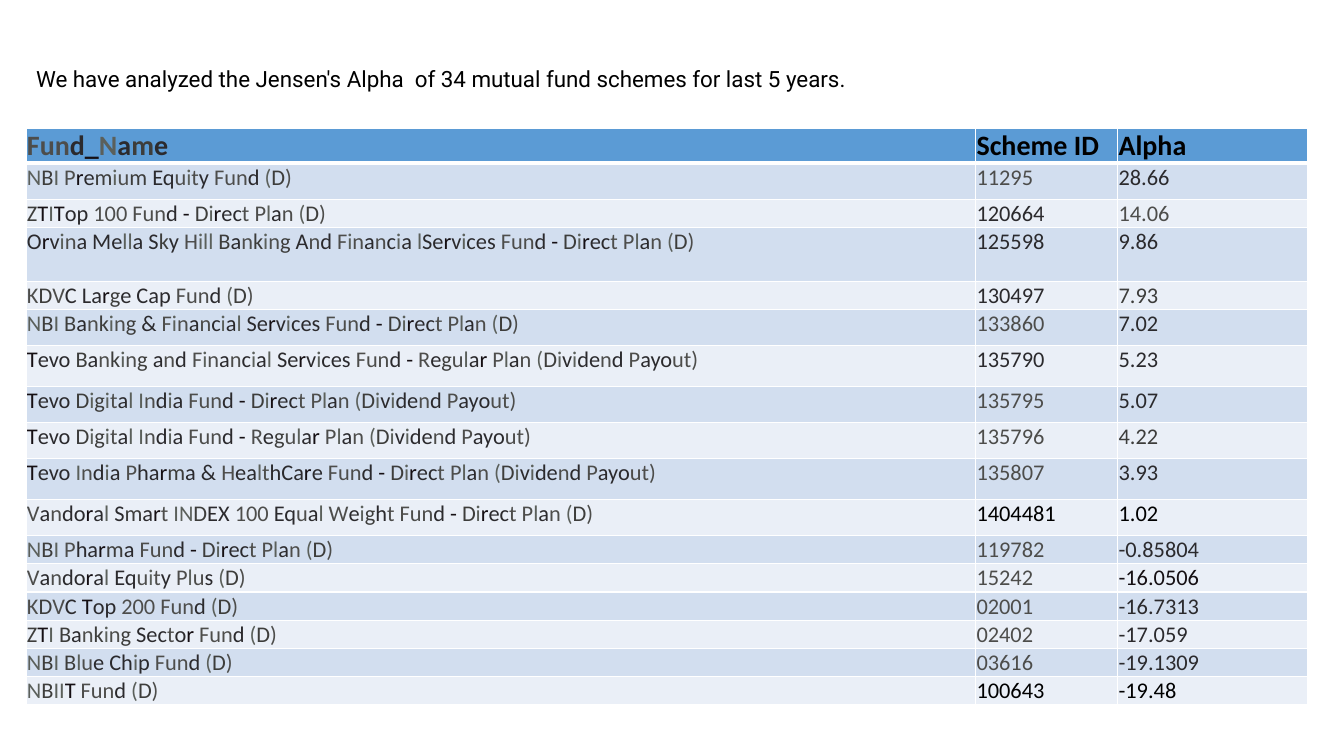
from itertools import groupby

from lxml import etree
from pptx import Presentation
from pptx import util as u
from pptx.dml.color import RGBColor
from pptx.enum import text
from pptx.oxml import ns

COLOURS = {
    "header": "5B9BD5", "odd row": "D2DEEF", "even row": "EAEFF7", "border": "FFFFFF",
    "black": "000000", "ink": "150F13", "dark": "2B2A2D",
    "slate": "3D3D3B", "grey": "4D4D4B", "pale": "5B605B",
}

# Fund names are shaded letter by letter; every other letter is dark.
LETTERS_BY_SHADE = {
    "ink": "Tr-_",
    "slate": "BDZkmg",
    "grey": "FHKPRVWtun)0123456789",
    "pale": "INil(",
}
LETTER_SHADES = {letter: shade for shade, letters in LETTERS_BY_SHADE.items()
                 for letter in letters}

COLUMN_WIDTHS = (23.93, 3.58, 4.78)
LOW, MEDIUM, HIGH = 0.69, 0.91, 1.03  # row heights in cm

HEADER = (("Fund_Name", None), ("Scheme ID", "black"), ("Alpha", "black"))
FUNDS = [  # row height, fund name, scheme ID and its shade, alpha and its shade
    (MEDIUM, "NBI Premium Equity Fund (D)", "11295", "grey", "28.66", "dark"),
    (LOW, "ZTITop 100 Fund - Direct Plan (D)", "120664", "dark", "14.06", "grey"),
    (1.35, "Orvina Mella Sky Hill Banking And Financia lServices Fund - Direct Plan (D)",
     "125598", "dark", "9.86", "dark"),
    (LOW, "KDVC Large Cap Fund (D)", "130497", "dark", "7.93", "slate"),
    (MEDIUM, "NBI Banking & Financial Services Fund - Direct Plan (D)",
     "133860", "grey", "7.02", "dark"),
    (HIGH, "Tevo Banking and Financial Services Fund - Regular Plan (Dividend Payout)",
     "135790", "dark", "5.23", "dark"),
    (MEDIUM, "Tevo Digital India Fund - Direct Plan (Dividend Payout)",
     "135795", "grey", "5.07", "dark"),
    (MEDIUM, "Tevo Digital India Fund - Regular Plan (Dividend Payout)",
     "135796", "grey", "4.22", "slate"),
    (HIGH, "Tevo India Pharma & HealthCare Fund - Direct Plan (Dividend Payout)",
     "135807", "grey", "3.93", "dark"),
    (MEDIUM, "Vandoral Smart INDEX 100 Equal Weight Fund - Direct Plan (D)",
     "1404481", "black", "1.02", "black"),
    (LOW, "NBI Pharma Fund - Direct Plan (D)", "119782", "grey", "-0.85804", "dark"),
    (LOW, "Vandoral Equity Plus (D)", "15242", "grey", "-16.0506", "ink"),
    (LOW, "KDVC Top 200 Fund (D)", "02001", "grey", "-16.7313", "dark"),
    (LOW, "ZTI Banking Sector Fund (D)", "02402", "grey", "-17.059", "dark"),
    (LOW, "NBI Blue Chip Fund (D)", "03616", "grey", "-19.1309", "dark"),
    (LOW, "NBIIT Fund (D)", "100643", "black", "-19.48", "black"),
]


def write_text(para, words, shade, size, bold):
    """Write words in one shade, or letter by letter by the rule if shade is None."""
    spans = [(shade, words)]
    if shade is None:
        groups = groupby(words, lambda letter: LETTER_SHADES.get(letter, "dark"))
        spans = [(name, "".join(letters)) for name, letters in groups]
    for name, words_in_span in spans:
        span = para.add_run()
        span.text = words_in_span
        span.font.name = "Calibri"
        span.font.size = u.Pt(size)
        span.font.bold = bold
        span.font.color.rgb = RGBColor.from_string(COLOURS[name])


def style_cell(cell, fill, bottom_width):
    """Set margins, white borders and fill."""
    cell.margin_left = cell.margin_right = cell.margin_top = u.Cm(0.02)
    cell.margin_bottom = u.Cm(0)
    properties = cell._tc.get_or_add_tcPr()
    for side, width in (("L", 1), ("R", 1), ("T", 1), ("B", bottom_width)):
        line = etree.SubElement(properties, ns.qn("a:ln" + side), w=str(u.Pt(width)))
        solid = etree.SubElement(line, ns.qn("a:solidFill"))
        etree.SubElement(solid, ns.qn("a:srgbClr"), val=COLOURS["border"])
    cell.fill.solid()
    cell.fill.fore_color.rgb = RGBColor.from_string(COLOURS[fill])


deck = Presentation()
deck.slide_width, deck.slide_height = u.Cm(33.87), u.Cm(19.05)
page = deck.slides.add_slide(deck.slide_layouts[6])

# Fund table
table = page.shapes.add_table(
    len(FUNDS) + 1, len(HEADER),
    u.Cm(0.66), u.Cm(3.23), u.Cm(sum(COLUMN_WIDTHS)), u.Cm(14.43)).table
for column, width in zip(table.columns, COLUMN_WIDTHS):
    column.width = u.Cm(width)

# Header row
table.rows[0].height = u.Cm(LOW)
for cell, (label, shade) in zip(table.rows[0].cells, HEADER):
    style_cell(cell, "header", bottom_width=3)
    write_text(cell.text_frame.paragraphs[0], label, shade, size=20, bold=True)

# Fund rows
for number, fund in enumerate(FUNDS, start=1):
    height, name, scheme_id, id_shade, alpha, alpha_shade = fund
    row = table.rows[number]
    row.height = u.Cm(height)
    entries = (
        (name, None, text.PP_ALIGN.LEFT),
        (scheme_id, id_shade, text.PP_ALIGN.JUSTIFY),
        (alpha, alpha_shade, text.PP_ALIGN.JUSTIFY),
    )
    for cell, (words, shade, alignment) in zip(row.cells, entries):
        style_cell(cell, "odd row" if number % 2 else "even row", bottom_width=1)
        para = cell.text_frame.paragraphs[0]
        para.alignment = alignment
        write_text(para, words, shade, size=16, bold=False)

# Introduction
intro = page.shapes.add_textbox(u.Cm(0.66), u.Cm(1.52), u.Cm(32.61), u.Cm(1.7))
intro.text_frame.word_wrap = True
para = intro.text_frame.paragraphs[0]
para.text = "We have analyzed the Jensen's Alpha  of 34 mutual fund schemes for last 5 years."
para.font.name = "Roboto"
para.font.size = u.Pt(16)
para.font.color.rgb = RGBColor.from_string(COLOURS["black"])

deck.save("out.pptx")
